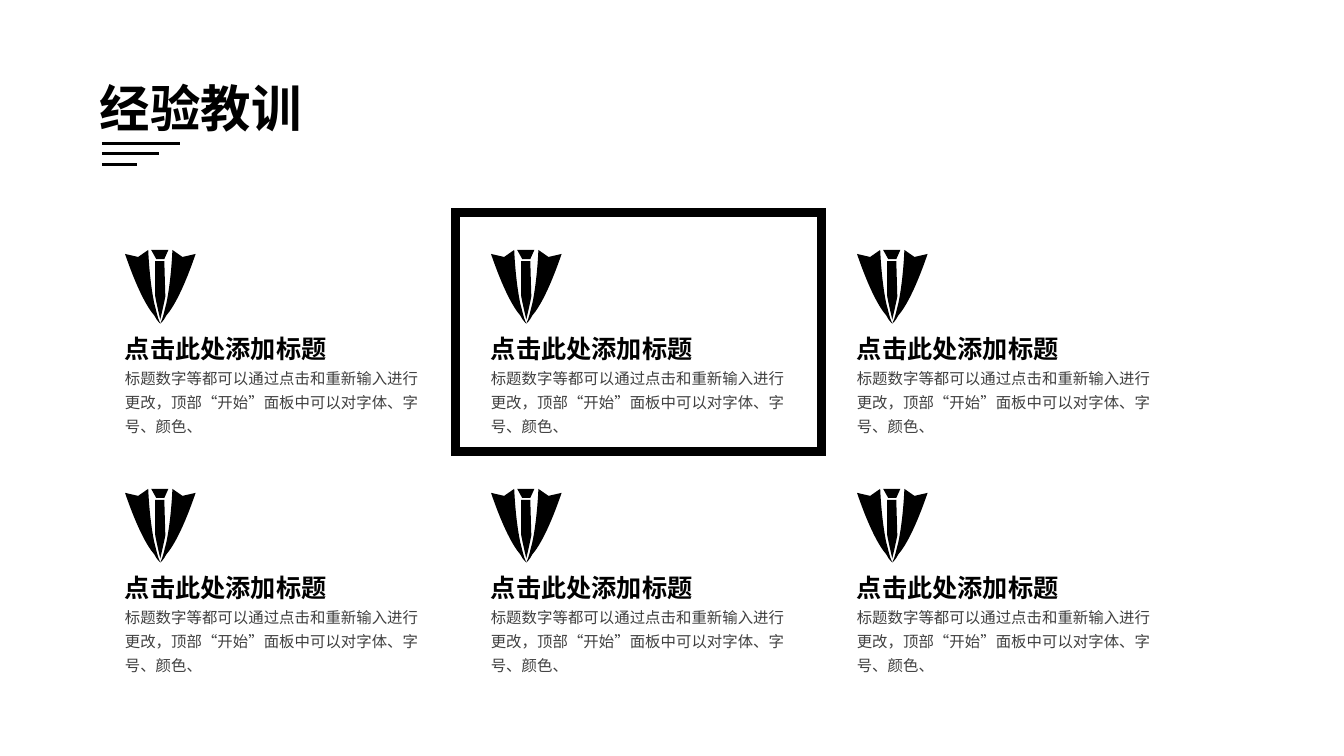
from itertools import product

from pptx import Presentation
from pptx.dml.color import RGBColor
from pptx.enum.shapes import MSO_CONNECTOR, MSO_SHAPE
from pptx.enum.text import MSO_ANCHOR, MSO_AUTO_SIZE, PP_ALIGN
from pptx.oxml.ns import qn
from pptx.util import Inches, Pt

COLORS = {"ink": "000000", "body": "404040"}
LATIN, CJK = "TeX Gyre Adventor", "Noto Sans CJK SC"
TITLE_STYLE = {"size": Pt(36), "name": LATIN, "bold": True}
HEADING_STYLE = {"size": Pt(18), "name": LATIN, "bold": True}
BODY_STYLE = {"size": Pt(11), "name": CJK, "bold": False}

HEADING = "点击此处添加标题"
BODY = "标题数字等都可以通过点击和重新输入进行更改，顶部“开始”面板中可以对字体、字号、颜色、"

GRID_LEFT, GRID_TOP = 0.89, 2.11
CELL_W, CELL_H = 3.63, 2.37
COLUMNS, ROWS = 3, 2

# Suit outlines, measured from the top centre of the icon.
# One point is a corner; three are the controls and end of a curve.
KNOT = [[(0.04, 0.09)], [(0.08, 0)], [(-0.09, 0)], [(-0.04, 0.09)]]
TIE = [[(-0.05, 0.46)],
       [(-0.04, 0.52), (0, 0.69), (0, 0.69)],
       [(0, 0.69), (0.04, 0.52), (0.05, 0.46)],
       [(0.04, 0.11)], [(-0.05, 0.11)]]
LAPEL = [[(-0.12, 0)], [(-0.22, 0.07)], [(-0.35, 0.04)],
         [(-0.23, 0.39), (-0.13, 0.57), (-0.06, 0.65)],
         [(-0.03, 0.71), (0, 0.73), (0, 0.73)],
         [(-0.03, 0.67), (-0.04, 0.6), (-0.06, 0.53)],
         [(-0.11, 0.29), (-0.12, 0), (-0.12, 0)]]
MIRRORED_LAPEL = [[(-x, y) for x, y in part] for part in LAPEL]


def rgb(name):
    return RGBColor.from_string(COLORS[name])


def write(sp, text, style, color, spacing, wrap=True, anchor=MSO_ANCHOR.TOP):
    tf = sp.text_frame
    frame = {"word_wrap": wrap, "auto_size": MSO_AUTO_SIZE.SHAPE_TO_FIT_TEXT,
             "vertical_anchor": anchor}
    for key, value in frame.items():
        setattr(tf, key, value)
    p = tf.paragraphs[0]
    p.alignment = PP_ALIGN.LEFT
    p.line_spacing = spacing
    r = p.add_run()
    r.text = text
    for key, value in style.items():
        setattr(r.font, key, value)
    r.font.color.rgb = rgb(color)
    ea = r.font._element.makeelement(qn("a:ea"), {"typeface": CJK})
    r.font._element.find(qn("a:latin")).addnext(ea)


def add_text(s, box, *args, **kwargs):
    write(s.shapes.add_textbox(*map(Inches, box)), *args, **kwargs)


def add_title(s, text):
    sp = s.shapes.title
    sp.left, sp.top, sp.width, sp.height = map(Inches, (0.89, 0.78, 3.94, 0.65))
    write(sp, text, TITLE_STYLE, "ink", 0.9, anchor=MSO_ANCHOR.MIDDLE)


def add_rule(s, left, top, length):
    line = s.shapes.add_connector(MSO_CONNECTOR.STRAIGHT, Inches(left), Inches(top),
                                  Inches(left + length), Inches(top))
    line.line.color.rgb = rgb("ink")
    line.line.width = Pt(2.25)
    spPr = line._element.spPr
    spPr.append(spPr.makeelement(qn("a:effectLst"), {}))


def add_frame(s, left, top):
    sp = s.shapes.add_shape(MSO_SHAPE.RECTANGLE,
                            *map(Inches, (left, top, CELL_W, CELL_H)))
    sp.shadow.inherit = False
    sp.fill.background()
    sp.line.color.rgb = rgb("ink")
    sp.line.width = Pt(6)
    ln = sp.line._get_or_add_ln()
    ln.append(ln.makeelement(qn("a:miter"), {"lim": "800000"}))


def bend(sp, outline):
    """Join the straight segments of each three-point part into one curve."""
    segments = iter(list(sp._element.iter(qn("a:lnTo"))))
    for part in outline[1:]:
        group = [next(segments) for _ in part]
        if len(group) == 1:
            continue
        curve = group[0].makeelement(qn("a:cubicBezTo"), {})
        group[0].addprevious(curve)
        for segment in group:
            curve.append(segment[0])
            segment.getparent().remove(segment)


def add_suit_icon(s, center, top):
    group = s.shapes.add_group_shape()
    for outline in (KNOT, TIE, LAPEL, MIRRORED_LAPEL):
        points = [(Inches(center + x), Inches(top + y))
                  for part in outline for x, y in part]
        builder = group.shapes.build_freeform(*points[0])
        builder.add_line_segments(points[1:], close=True)
        sp = builder.convert_to_shape()
        bend(sp, outline)
        sp.shadow.inherit = False
        sp.fill.solid()
        sp.fill.fore_color.rgb = rgb("ink")
        sp.line.fill.background()


def add_lesson(s, left, top):
    add_suit_icon(s, left + 0.7, top + 0.37)
    add_text(s, (left + 0.25, top + 1.45, 3.13, 0.82), BODY, BODY_STYLE, "body", 1.3)
    add_text(s, (left + 0.25, top + 1.06, 2.22, 0.45), HEADING, HEADING_STYLE,
             "ink", 1.3, wrap=False)


def main():
    prs = Presentation()
    prs.slide_width, prs.slide_height = Inches(13.33), Inches(7.5)
    s = prs.slides.add_slide(prs.slide_layouts[5])
    add_title(s, "经验教训")
    for top, length in ((1.42, 0.78), (1.52, 0.57), (1.63, 0.35)):
        add_rule(s, 1.01, top, length)
    add_frame(s, GRID_LEFT + CELL_W, GRID_TOP)
    for row, col in product(range(ROWS), range(COLUMNS)):
        add_lesson(s, GRID_LEFT + col * CELL_W, GRID_TOP + row * CELL_H)
    prs.save("out.pptx")


if __name__ == "__main__":
    main()
